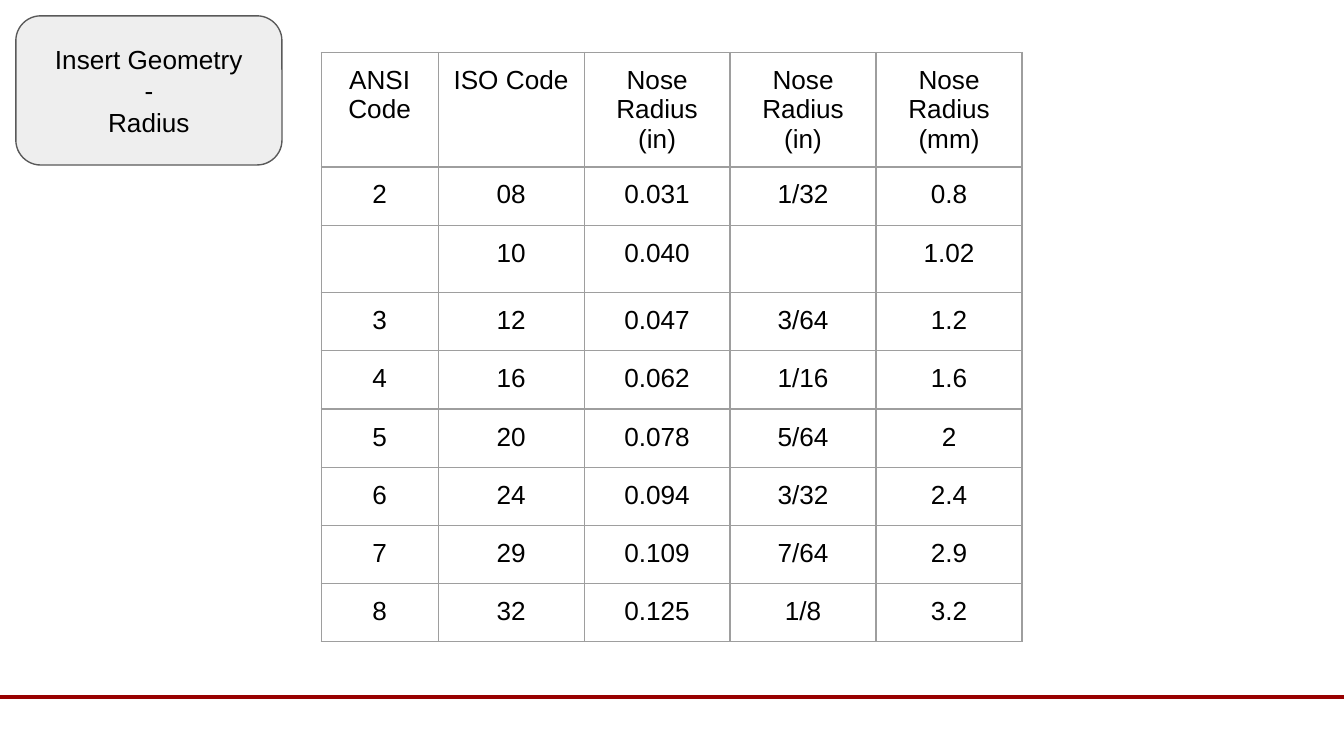
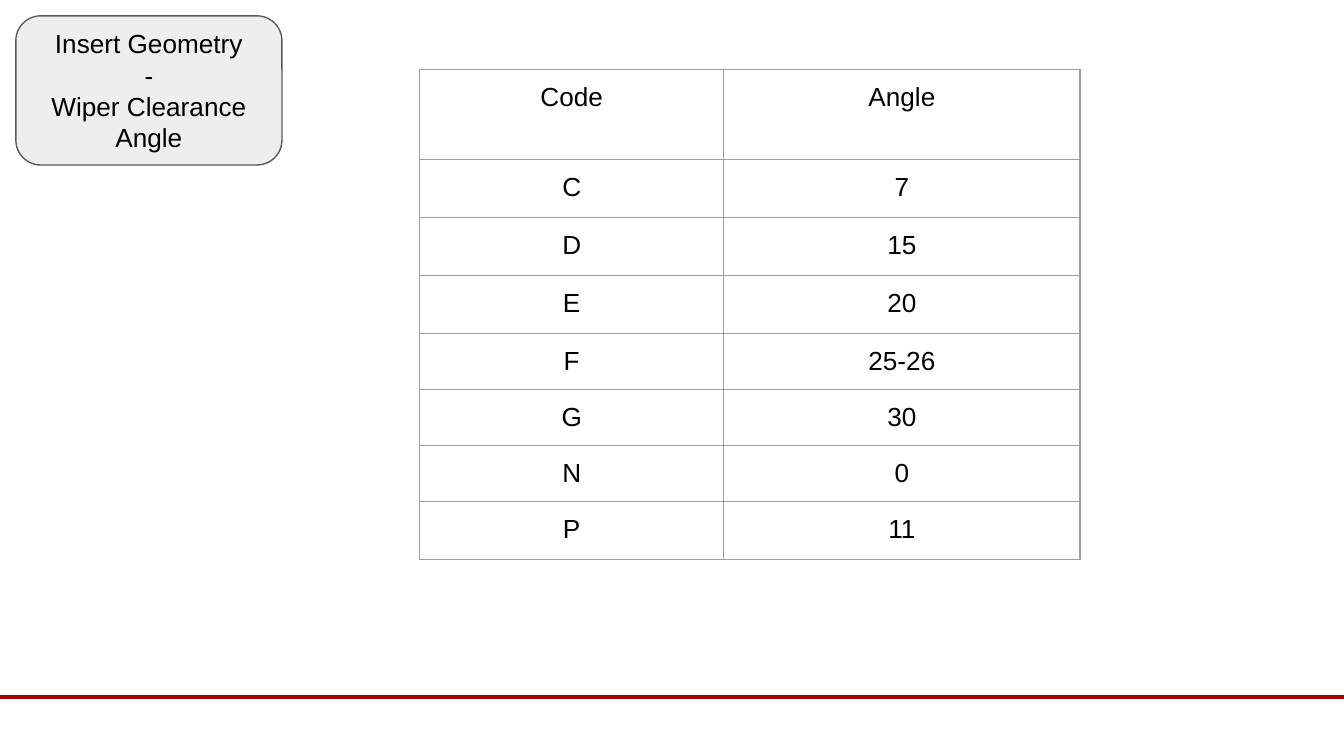
import pptx
import pptx.dml.color
import pptx.enum.shapes
import pptx.enum.text
import pptx.oxml
import pptx.oxml.ns
import pptx.util

Cm = pptx.util.Cm
Pt = pptx.util.Pt
RGBColor = pptx.dml.color.RGBColor

BLACK = RGBColor(0x00, 0x00, 0x00)
DARK_RED = RGBColor(0x98, 0x00, 0x00)
LIGHT_GREY = RGBColor(0xEE, 0xEE, 0xEE)
OUTLINE_GREY = RGBColor(0x59, 0x59, 0x59)
BORDER_GREY = RGBColor(0x9E, 0x9E, 0x9E)

INSET = Cm(0.25)
MARGINS = {"margin_left": INSET, "margin_right": INSET, "margin_top": INSET, "margin_bottom": INSET}
FONT = {"name": "Arial", "size": Pt(14)}
ROW_HEIGHT = 1.1

SLIDES = [
    {
        "title": ["Insert Geometry", "-", "Radius"],
        "left": 6.07,
        "top": 0.99,
        "columns": [2.21] + [2.76] * 4,
        "row_heights": [1.88] + [ROW_HEIGHT] * 8,
        "rows": [
            ["ANSI Code", "ISO Code", "Nose Radius (in)", "Nose Radius (in)", "Nose Radius (mm)"],
            ["2", "08", "0.031", "1/32", "0.8"],
            ["", "10", "0.040", "", "1.02"],
            ["3", "12", "0.047", "3/64", "1.2"],
            ["4", "16", "0.062", "1/16", "1.6"],
            ["5", "20", "0.078", "5/64", "2"],
            ["6", "24", "0.094", "3/32", "2.4"],
            ["7", "29", "0.109", "7/64", "2.9"],
            ["8", "32", "0.125", "1/8", "3.2"],
        ],
    },
    {
        "title": ["Insert Geometry", "-", "Wiper Clearance Angle"],
        "left": 7.93,
        "top": 1.32,
        "columns": [5.75, 6.73],
        "row_heights": [1.69] + [ROW_HEIGHT] * 3 + [0.81, 0.74, 0.66, ROW_HEIGHT],
        "rows": [
            ["Code", "Angle"],
            ["C", "7"],
            ["D", "15"],
            ["E", "20"],
            ["F", "25-26"],
            ["G", "30"],
            ["N", "0"],
            ["P", "11"],
        ],
    },
]


def write_centred(paragraph, text):
    paragraph.alignment = pptx.enum.text.PP_ALIGN.CENTER
    run = paragraph.add_run()
    run.text = text
    for name, value in FONT.items():
        setattr(run.font, name, value)
    run.font.color.rgb = BLACK


def add_borders(cell):
    properties = cell._tc.get_or_add_tcPr()
    for position, side in enumerate(("lnL", "lnR", "lnT", "lnB")):
        border = pptx.oxml.parse_xml(
            f'<a:{side} {pptx.oxml.ns.nsdecls("a")} w="{Pt(0.75)}"><a:solidFill>'
            f'<a:srgbClr val="{BORDER_GREY}"/></a:solidFill></a:{side}>'
        )
        properties.insert(position, border)


presentation = pptx.Presentation()
presentation.slide_width = Cm(25.4)
presentation.slide_height = Cm(14.29)

for content in SLIDES:
    slide = presentation.slides.add_slide(presentation.slide_layouts[6])

    footer_line = slide.shapes.add_connector(
        pptx.enum.shapes.MSO_CONNECTOR.STRAIGHT, Cm(-0.03), Cm(13.18), Cm(25.45), Cm(13.18)
    )
    footer_line.line.color.rgb = DARK_RED
    footer_line.line.width = Pt(2.25)
    footer_line._element.spPr.append(
        pptx.oxml.parse_xml(f'<a:effectLst {pptx.oxml.ns.nsdecls("a")}/>')
    )

    title_box = slide.shapes.add_shape(
        pptx.enum.shapes.MSO_SHAPE.ROUNDED_RECTANGLE, Cm(0.3), Cm(0.3), Cm(5.03), Cm(2.82)
    )
    title_box.shadow.inherit = False
    title_box.fill.solid()
    title_box.fill.fore_color.rgb = LIGHT_GREY
    title_box.line.color.rgb = OUTLINE_GREY
    title_box.line.width = Pt(0.75)
    frame = title_box.text_frame
    frame.word_wrap = True
    frame.vertical_anchor = pptx.enum.text.MSO_ANCHOR.MIDDLE
    for name, value in MARGINS.items():
        setattr(frame, name, value)
    for index, text in enumerate(content["title"]):
        paragraph = frame.add_paragraph() if index else frame.paragraphs[0]
        write_centred(paragraph, text)

    rows, columns, heights = content["rows"], content["columns"], content["row_heights"]
    table = slide.shapes.add_table(
        len(rows), len(columns), Cm(content["left"]), Cm(content["top"]),
        Cm(sum(columns)), Cm(sum(heights)),
    ).table
    table.first_row = False
    table.horz_banding = False
    for column, width in zip(table.columns, columns):
        column.width = Cm(width)
    for row, height, texts in zip(table.rows, heights, rows):
        row.height = Cm(height)
        for cell, text in zip(row.cells, texts):
            for name, value in MARGINS.items():
                setattr(cell, name, value)
            cell.fill.background()
            add_borders(cell)
            if text:
                write_centred(cell.text_frame.paragraphs[0], text)

presentation.save("out.pptx")
